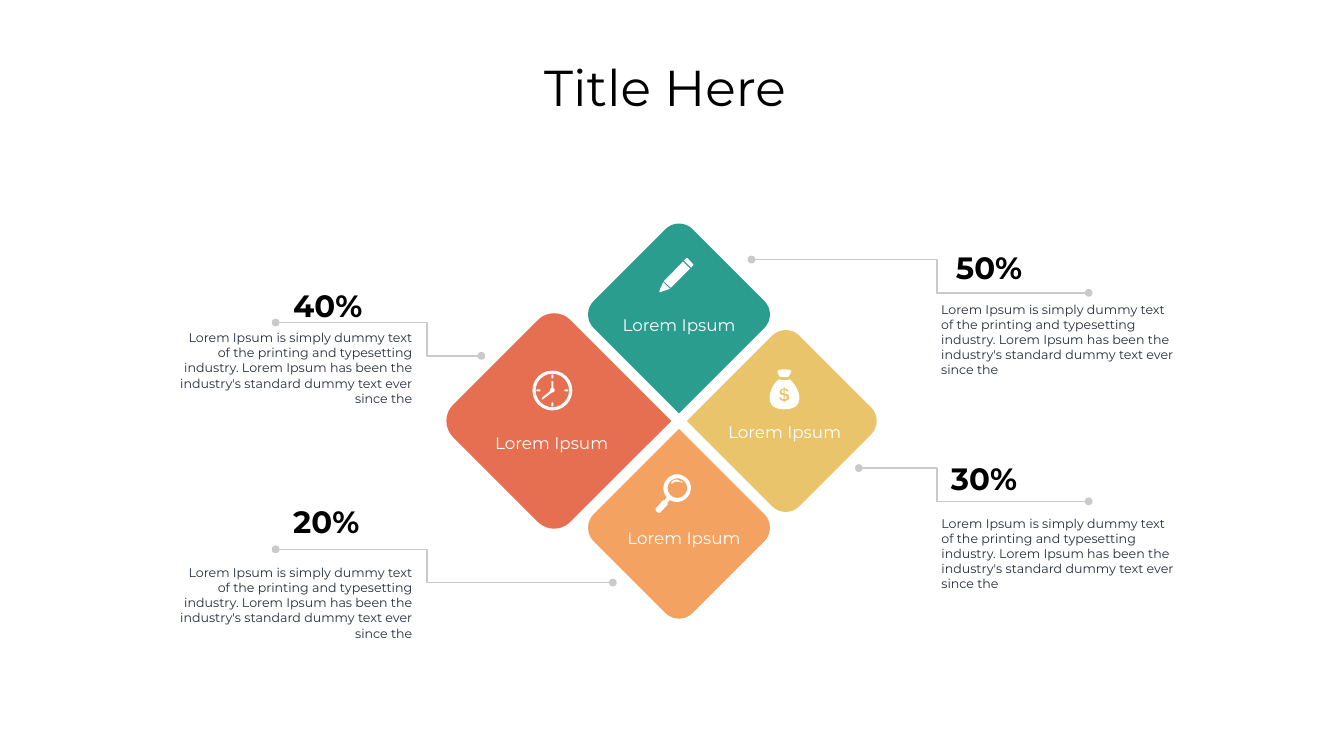
"""Build a four-petal diamond infographic with icons and percentage callouts."""
from dataclasses import dataclass

from lxml import etree
from pptx import Presentation
from pptx import util as u
from pptx.dml.color import RGBColor
from pptx.enum import shapes, text
from pptx.oxml import ns

FONT = "Montserrat"
COLORS = {
    "teal": "2A9D8F", "orange": "F4A261", "coral": "E76F51", "yellow": "E9C46A",
    "white": "FFFFFF", "black": "000000", "body": "272E3A", "leader": "CACACA",
}
BODY = ("Lorem Ipsum is simply dummy text of the printing and typesetting industry. "
        "Lorem Ipsum has been the industry's standard dummy text ever since the")
CURVE_STEPS = 8
STEP = 47.5

CLOCK_HANDS = (
    "M 1.4 -3.6 L 1.4 -12.2 C 1.4 -13 .7 -13.7 0 -13.7 C -.7 -13.7 -1.4 -13 -1.4 -12.2 "
    "L -1.4 -3.6 C -2.9 -2.9 -3.6 -.7 -2.9 .7 L -14.4 10.1 C -15.1 10.8 -15.1 11.5 -15.1 12.2 "
    "C -14.4 13 -13.7 13 -13 12.2 L -.7 2.9 C 2.9 3.6 5 -1.4 1.4 -3.6",
)
MONEY_BAG = (
    "M -3.6 31.7 C -3.6 33.1 -2.9 33.8 -.7 33.8 L -.7 29.5 C -1.4 29.5 -2.2 29.5 -2.9 30.2 "
    "C -3.6 30.2 -3.6 31 -3.6 31.7",
    "M .7 37.4 L .7 42.5 C 2.2 42.5 2.9 42.5 2.9 41.8 C 3.6 41.8 3.6 41 3.6 40.3 "
    "C 4.3 38.9 2.9 38.2 .7 37.4",
    "M 5.8 10.8 C 7.2 9.4 7.9 7.2 9.4 5 C 12.2 0 5.8 0 0 0 C -5 0 -11.5 0 -9.4 5 "
    "C -7.9 7.2 -7.2 9.4 -5.8 10.8",
    "M 5.8 43.2 C 4.3 44.6 2.9 45.4 .7 45.4 L .7 47.5 L -.7 47.5 L -.7 45.4 "
    "C -4.3 44.6 -6.5 43.2 -7.2 40.3 L -4.3 39.6 C -3.6 41.8 -2.9 42.5 -.7 42.5 L -.7 37.4 "
    "C -2.9 36.7 -5 36 -5.8 35.3 C -6.5 34.6 -6.5 33.1 -6.5 32.4 C -6.5 29.5 -4.3 27.4 -.7 27.4 "
    "L -.7 25.2 L .7 25.2 L .7 27.4 C 3.6 27.4 5.8 28.8 6.5 31 L 3.6 31.7 "
    "C 2.9 30.2 2.2 29.5 .7 29.5 L .7 34.6 C 2.9 34.6 4.3 35.3 4.3 35.3 "
    "C 5 36 5.8 36 6.5 36.7 C 7.2 37.4 7.2 38.9 7.2 39.6 C 7.2 41 6.5 42.5 5.8 43.2 "
    "M 7.2 13.7 C 7.2 14.4 6.5 15.1 5.8 15.1 L -5 15.1 C -5.8 15.1 -6.5 14.4 -6.5 13.7 "
    "C -14.4 18 -20.9 31 -20.9 40.3 C -20.9 53.3 -11.5 56.9 0 56.9 "
    "C 12.2 56.9 21.6 53.3 21.6 40.3 C 21.6 31 14.4 18.7 7.2 13.7",
)
MAGNIFIER = (
    "M 19.4 -1.8 C 18.7 -6.8 16.6 -11.9 12.2 -14.8 C 8.6 -17.6 4.3 -19.8 0 -19.8 "
    "C -5.8 -19.8 -11.5 -16.9 -15.1 -12.6 C -21.6 -5.4 -21.6 6.1 -15.1 13.3 L -18.7 17.6 "
    "C -19.4 16.9 -20.9 17.6 -21.6 18.4 L -30.2 28.4 C -31.7 29.9 -31 31.3 -30.2 32.8 "
    "L -27.4 34.9 C -26.6 35.6 -24.5 35.6 -23.8 34.2 L -14.4 24.1 "
    "C -13.7 23.4 -13.7 22 -14.4 21.2 L -10.8 16.9 C -7.9 18.4 -4.3 19.8 -.7 19.8 "
    "C 5 19.8 10.8 16.9 14.4 12.6 C 18 9 19.4 3.2 19.4 -1.8 "
    "M 14 0 C 14 7.7 7.7 14 0 14 C -7.7 14 -14 7.7 -14 0 C -14 -7.7 -7.7 -14 0 -14 "
    "C 7.7 -14 14 -7.7 14 0",
    "M 3.6 -9.7 C 3.6 -7.6 .7 -9.7 -2.9 -9 C -5.8 -8.3 -8.6 -4.7 -8.6 -6.8 "
    "C -9.4 -9 -5.8 -11.2 -3.6 -11.9 C -1.4 -12.6 2.9 -11.9 3.6 -9.7",
    "M 7.2 -8.3 C 7.2 -7.6 6.5 -7.6 5 -8.3 C 4.3 -8.3 4.3 -8.3 4.3 -9 "
    "C 5 -9.7 5 -10.4 5.8 -10.4 C 6.5 -9.7 7.9 -9 7.2 -8.3",
)
PENCIL = (
    "M -20.2 10.8 L -24.5 20.2 C -25.9 23.8 -25.9 24.5 -25.2 25.2 "
    "C -25.2 25.2 -24.5 25.2 -20.9 23.8 L -10.8 20.2",
    "M 7.9 -18.7 L -15.1 5 C -15.1 5 -19.4 8.6 -19.4 9.4 L -9.4 18.7 L 18 -8.6",
    "M 21.6 -15.8 L 15.1 -23 C 14.4 -23.8 13 -23.8 12.2 -23 L 9.4 -20.2 "
    "C 13 -16.6 18 -11.5 19.4 -10.1 L 22.3 -13 C 23 -13.7 23 -15.1 21.6 -15.8",
)


@dataclass(frozen=True)
class Petal:
    color: str
    tip: tuple[float, float]
    direction: tuple[int, int]
    half: float
    label: tuple[float, float]
    icon: tuple[str, ...]
    icon_at: tuple[float, float]


@dataclass(frozen=True)
class Callout:
    value: str
    value_at: tuple[float, float]
    body_at: tuple[float, float]
    align: text.PP_ALIGN
    leader: tuple[float, float, float, float]


L, R = text.PP_ALIGN.LEFT, text.PP_ALIGN.RIGHT
PETALS = [
    Petal("teal", (970, 590.6), (0, -1), 141.3, (970, 445.7), PENCIL, (967.7, 392.4)),
    Petal("orange", (970, 612.6), (0, 1), 141.3, (977, 751), MAGNIFIER, (967.7, 697.3)),
    Petal("coral", (959, 601.4), (-1, 0), 167.4, (788, 614.9), CLOCK_HANDS, (789.1, 557.8)),
    Petal("yellow", (981.2, 601.4), (1, 0), 141.3, (1120.8, 598.3), MONEY_BAG, (1120.3, 527.8)),
]
CALLOUTS = [
    Callout("50%", (1358.6, 352), (1337.4, 427.7), L, (1073.5, 1338.8, 1555.2, 370.8)),
    Callout("30%", (1351.4, 653.8), (1337.8, 733), L, (1226.9, 1338.8, 1555.2, 668.7)),
    Callout("40%", (411.8, 405.4), (247.7, 468), R, (393.8, 610.2, 687.6, 460.8)),
    Callout("20%", (411.8, 715), (247.7, 803.5), R, (393.8, 610.2, 875.5, 784.8)),
]


def rgb(name: str) -> RGBColor:
    return RGBColor.from_string(COLORS[name])


def paint(sp, color: str) -> None:
    sp.shadow.inherit = False
    sp.fill.solid()
    sp.fill.fore_color.rgb = rgb(color)
    sp.line.fill.background()


def contours(outline: str) -> list[list[tuple[float, float]]]:
    result = []
    for part in outline.replace("M", "|M").replace("L", "|L").replace("C", "|C").split("|")[1:]:
        nums = [float(n) for n in part[1:].split()]
        pts = list(zip(nums[::2], nums[1::2]))
        if part[0] == "M":
            result.append(pts)
        elif part[0] == "L":
            result[-1] += pts
        else:
            curve = [result[-1][-1], *pts]
            for i in range(1, CURVE_STEPS + 1):
                t = i / CURVE_STEPS
                w = ((1 - t) ** 3, 3 * t * (1 - t) ** 2, 3 * t * t * (1 - t), t ** 3)
                result[-1].append(tuple(sum(k * c[a] for k, c in zip(w, curve)) for a in (0, 1)))
    return result


def add_outline(owner, outline: str, at: tuple[float, float], closed: bool = True):
    rings = [[(u.Pt(at[0] + x), u.Pt(at[1] + y)) for x, y in ring] for ring in contours(outline)]
    fb = owner.build_freeform(*rings[0][0])
    for i, ring in enumerate(rings):
        if i:
            fb.move_to(*ring[0])
        fb.add_line_segments(ring[1:], close=closed)
    return fb.convert_to_shape()


def add_petal(s, petal: Petal) -> None:
    h, c = petal.half, petal.half * 0.137
    k = c * 0.55
    dx, dy = petal.direction

    def at(out: float, side: float) -> str:
        return f"{out * dx - side * dy:.2f} {out * dy + side * dx:.2f}"

    e, top = h - c, 2 * h - c
    outline = (f"M 0 0 L {at(e, e)} C {at(e + k, e + k)} {at(h + c - k, e + k)} {at(h + c, e)} "
               f"L {at(top, c)} C {at(top + k, c - k)} {at(top + k, k - c)} {at(top, -c)} "
               f"L {at(h + c, -e)} C {at(h + c - k, -e - k)} {at(e + k, -e - k)} {at(e, -e)}")
    paint(add_outline(s.shapes, outline, petal.tip), petal.color)


def add_icon(s, petal: Petal) -> None:
    group = s.shapes.add_group_shape()
    if petal.icon is CLOCK_HANDS:
        add_clock_face(group.shapes, *petal.icon_at)
    for outline in petal.icon:
        paint(add_outline(group.shapes, outline, petal.icon_at), "white")


def add_clock_face(owner, cx: float, cy: float) -> None:
    preset = shapes.MSO_SHAPE
    parts = [(preset.DONUT, 0, 0, 57, 57, 0.08)]
    for d in (-20, 20):
        parts.append((preset.ROUNDED_RECTANGLE, 0, d, 2.9, 5.8, 0.5))
        parts.append((preset.ROUNDED_RECTANGLE, d, 0, 5.8, 2.9, 0.5))
    for kind, dx, dy, w, h, adj in parts:
        sp = owner.add_shape(kind, u.Pt(cx + dx - w / 2), u.Pt(cy + dy - h / 2), u.Pt(w), u.Pt(h))
        sp.adjustments[0] = adj
        paint(sp, "white")


def add_leader(s, x1: float, bend: float, x2: float, y: float) -> None:
    outline = f"M {x1} {y} L {bend} {y} L {bend} {y + STEP} L {x2} {y + STEP}"
    sp = add_outline(s.shapes, outline, (0, 0), closed=False)
    sp.shadow.inherit = False
    sp.fill.background()
    sp.line.color.rgb = rgb("leader")
    sp.line.width = u.Pt(2.25)
    for end in ("a:headEnd", "a:tailEnd"):
        etree.SubElement(sp.line._get_or_add_ln(), ns.qn(end), type="oval", w="lg", len="lg")


def add_text(s, words: str, box: tuple[float, float, float, float], size: float, color: str,
             align: text.PP_ALIGN = L, bold: bool = False, wrap: bool = True):
    tf = s.shapes.add_textbox(*(u.Pt(v) for v in box)).text_frame
    tf.word_wrap = wrap
    p = tf.paragraphs[0]
    p.text, p.alignment = words, align
    p.font.name, p.font.size, p.font.bold = FONT, u.Pt(size), bold
    p.font.color.rgb = rgb(color)
    return tf


def main() -> None:
    prs = Presentation()
    prs.slide_width, prs.slide_height = u.Pt(1920), u.Pt(1080)
    s = prs.slides.add_slide(prs.slide_layouts[6])
    center = text.PP_ALIGN.CENTER
    title = add_text(s, "Title Here", (122, 57.6, 1656, 131), 72, "black", center)
    title.vertical_anchor = text.MSO_ANCHOR.MIDDLE
    for petal in PETALS:
        add_petal(s, petal)
    for petal in PETALS:
        add_icon(s, petal)
        x, y = petal.label
        add_text(s, "Lorem Ipsum", (x - 91.5, y, 183, 36), 24, "white", center, wrap=False)
    for callout in CALLOUTS:
        add_leader(s, *callout.leader)
        add_text(s, callout.value, (*callout.value_at, 162.7, 60.5), 44, "black", bold=True)
        add_text(s, BODY, (*callout.body_at, 348.5, 116.6), 18, "body", callout.align)
    prs.save("out.pptx")


if __name__ == "__main__":
    main()
